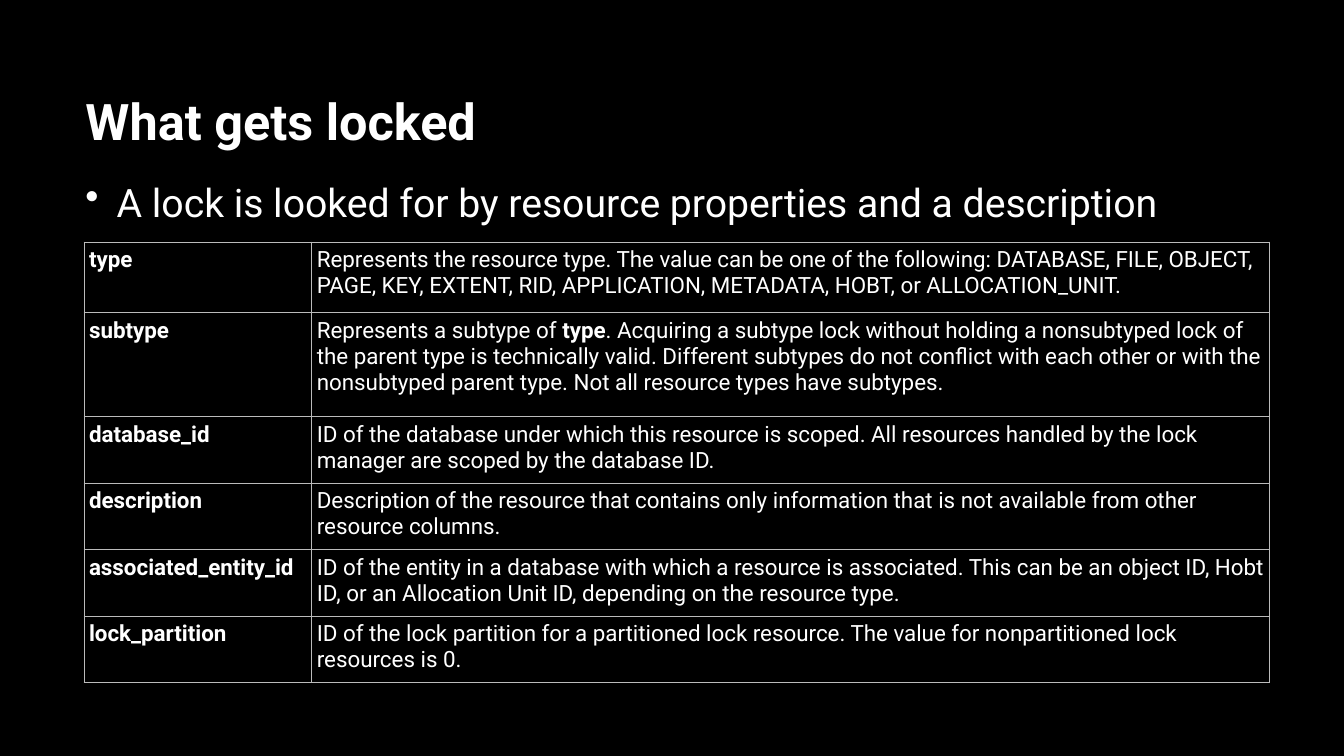
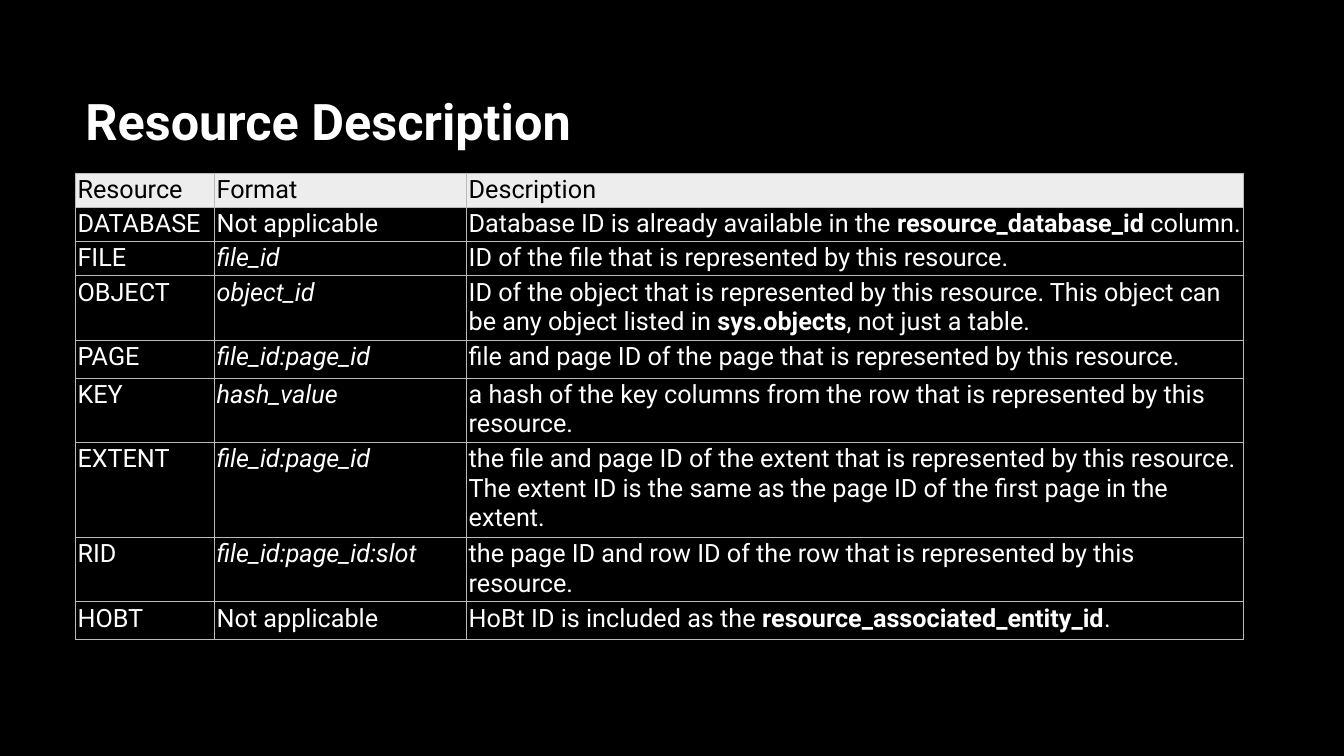
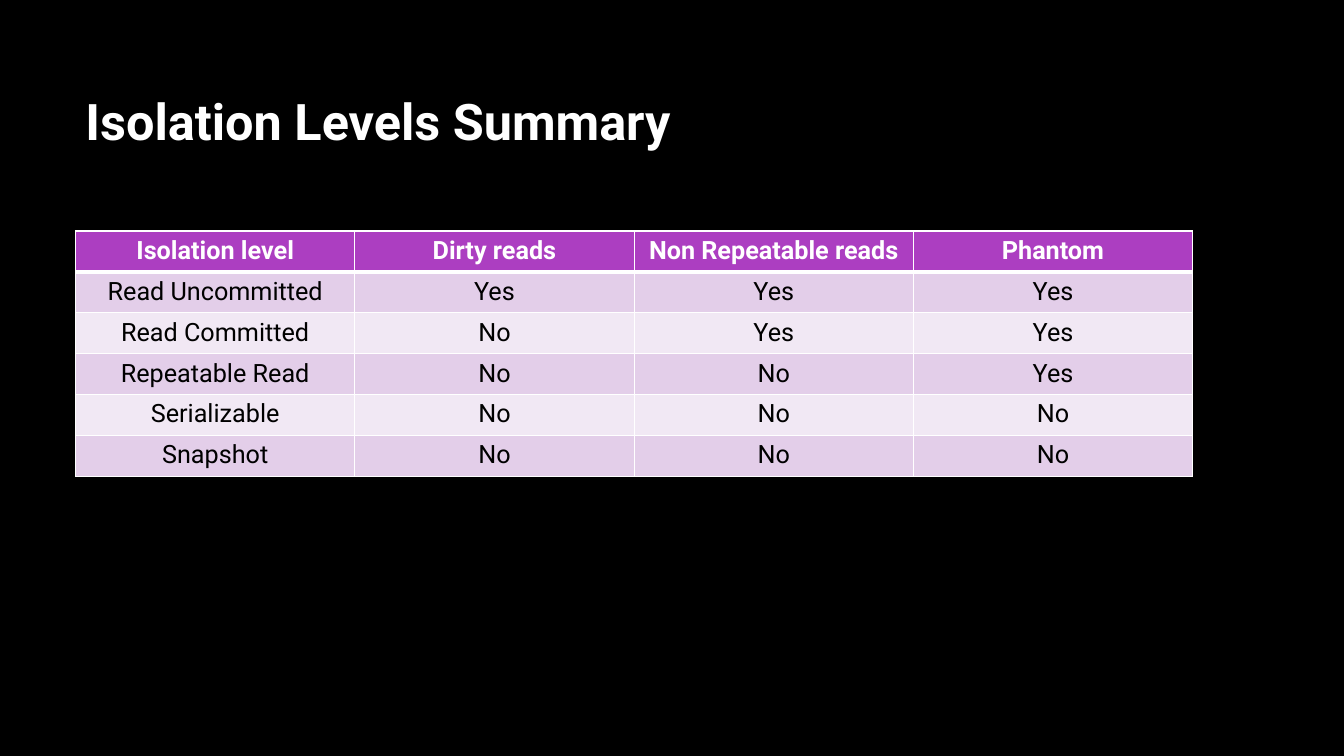
from dataclasses import dataclass
from typing import NamedTuple

from lxml import etree
from pptx import Presentation
from pptx.dml.color import RGBColor
from pptx.enum.text import MSO_ANCHOR, PP_ALIGN
from pptx.oxml.ns import qn
from pptx.util import Inches, Pt

LEFT, CENTER = PP_ALIGN.LEFT, PP_ALIGN.CENTER
TOP, MIDDLE = MSO_ANCHOR.TOP, MSO_ANCHOR.MIDDLE

BLACK = RGBColor(0x00, 0x00, 0x00)
WHITE = RGBColor(0xFF, 0xFF, 0xFF)
GRAY = RGBColor(0xBB, 0xBB, 0xBB)
LIGHT_GRAY = RGBColor(0xED, 0xED, 0xED)
PURPLE = RGBColor(0xAC, 0x3E, 0xC1)
LILAC = RGBColor(0xE3, 0xCE, 0xE9)
PALE_LILAC = RGBColor(0xF1, 0xE8, 0xF4)

FONT = "Roboto"
GRID_COLS, GRID_ROWS = 160, 90
BOLD_MARK = "**"
BLANK_LAYOUT = 6


class Box(NamedTuple):
    col: float
    row: float
    cols: float
    rows: float


class TextStyle(NamedTuple):
    size: float
    color: RGBColor = WHITE
    bold: bool = False
    italic: bool = False


class Border(NamedTuple):
    color: RGBColor
    width: float


@dataclass(frozen=True)
class CellStyle:
    text: TextStyle
    fills: tuple = (None,)
    anchor: MSO_ANCHOR = TOP


@dataclass(frozen=True)
class TableSpec:
    col: float
    row: float
    widths: list
    heights: list
    rows: list
    column_styles: list
    border: Border
    insets: tuple
    header: CellStyle | None = None
    header_rule: float | None = None
    align: PP_ALIGN = LEFT


TITLE_BOX = Box(9, 8, 133, 12.6)
BODY_BOX = Box(9, 20.6, 139, 55.4)
TITLE = TextStyle(36, bold=True)
BODY = TextStyle(28)

PROPERTIES = TableSpec(
    col=10, row=28.8,
    widths=[27.12, 114],
    heights=[8.4, 12.4] + [7.92] * 4,
    rows=[
        ("type", "Represents the resource type. The value can be one of the following: DATABASE, FILE, OBJECT, "
                 "PAGE, KEY, EXTENT, RID, APPLICATION, METADATA, HOBT, or ALLOCATION_UNIT."),
        ("subtype", "Represents a subtype of **type**. Acquiring a subtype lock without holding a nonsubtyped "
                    "lock of the parent type is technically valid. Different subtypes do not conflict with each "
                    "other or with the nonsubtyped parent type. Not all resource types have subtypes."),
        ("database_id", "ID of the database under which this resource is scoped. All resources handled by the "
                        "lock manager are scoped by the database ID."),
        ("description", "Description of the resource that contains only information that is not available from "
                        "other resource columns."),
        ("associated_entity_id", "ID of the entity in a database with which a resource is associated. This can be "
                                 "an object ID, Hobt ID, or an Allocation Unit ID, depending on the resource type."),
        ("lock_partition", "ID of the lock partition for a partitioned lock resource. The value for "
                           "nonpartitioned lock resources is 0."),
    ],
    column_styles=[CellStyle(TextStyle(16, bold=True)), CellStyle(TextStyle(16))],
    border=Border(GRAY, 0.5),
    insets=(0.05, 0.05),
)

NOT_APPLICABLE = "Not applicable"
PLAIN = CellStyle(TextStyle(18))
RESOURCES = TableSpec(
    col=9, row=20.6,
    widths=[16.56, 30, 92.4],
    heights=[4, 4, 4, 7.5, 4.5, 7.5, 11.1, 7.5, 4.5],
    rows=[
        ("Resource", "Format", "Description"),
        ("DATABASE", NOT_APPLICABLE,
         "Database ID is already available in the **resource_database_id **column."),
        ("FILE", "file_id", "ID of the file that is represented by this resource."),
        ("OBJECT", "object_id", "ID of the object that is represented by this resource. This object can be any "
                                "object listed in **sys.objects**, not just a table."),
        ("PAGE", "file_id:page_id", "file and page ID of the page that is represented by this resource."),
        ("KEY", "hash_value", "a hash of the key columns from the row that is represented by this resource."),
        ("EXTENT", "file_id:page_id", "the file and page ID of the extent that is represented by this resource. "
                                      "The extent ID is the same as the page ID of the first page in the extent."),
        ("RID", "file_id:page_id:slot",
         "the page ID and row ID of the row that is represented by this resource."),
        ("HOBT", NOT_APPLICABLE, "HoBt ID is included as the **resource_associated_entity_id**."),
    ],
    column_styles=[PLAIN, CellStyle(TextStyle(18, italic=True)), PLAIN],
    border=Border(GRAY, 0.5),
    insets=(0.02, 0.02),
    header=CellStyle(TextStyle(18, BLACK), (LIGHT_GRAY,), MIDDLE),
)

BANDED = CellStyle(TextStyle(18, BLACK), (LILAC, PALE_LILAC))
ISOLATION = TableSpec(
    col=9, row=27.5,
    widths=[33.25] * 4,
    heights=[4.87] * 6,
    rows=[
        ("Isolation level", "Dirty reads", "Non Repeatable reads", "Phantom"),
        ("Read Uncommitted", "Yes", "Yes", "Yes"),
        ("Read Committed", "No", "Yes", "Yes"),
        ("Repeatable Read", "No", "No", "Yes"),
        ("Serializable", "No", "No", "No"),
        ("Snapshot", "No", "No", "No"),
    ],
    column_styles=[BANDED] * 4,
    border=Border(WHITE, 1),
    insets=(0.1, 0.05),
    header=CellStyle(TextStyle(18, bold=True), (PURPLE,)),
    header_rule=3,
    align=CENTER,
)


def grid(cells: float) -> int:
    return Inches(cells / 12)


def add_run(p, text: str, style: TextStyle) -> None:
    r = p.add_run()
    r.text = text
    r.font.name = FONT
    r.font.size = Pt(style.size)
    r.font.bold = style.bold
    r.font.italic = style.italic
    r.font.color.rgb = style.color


def add_marked_text(p, text: str, style: TextStyle) -> None:
    for i, part in enumerate(text.split(BOLD_MARK)):
        add_run(p, part, style._replace(bold=True) if i % 2 else style)


def add_text(s, box: Box, text: str, style: TextStyle, anchor: MSO_ANCHOR = TOP):
    tf = s.shapes.add_textbox(*map(grid, box)).text_frame
    tf.word_wrap = True
    tf.vertical_anchor = anchor
    p = tf.paragraphs[0]
    add_run(p, text, style)
    return p


def add_bullet(p, color: RGBColor) -> None:
    p.space_after = Pt(10)
    pPr = p._p.get_or_add_pPr()
    pPr.set("marL", str(Inches(0.31)))
    pPr.set("indent", str(-Inches(0.31)))
    buClr = etree.SubElement(pPr, qn("a:buClr"))
    etree.SubElement(buClr, qn("a:srgbClr"), val=str(color))
    etree.SubElement(pPr, qn("a:buChar"), char="•")


def add_border(cell, side: str, border: Border) -> None:
    tcPr = cell._tc.get_or_add_tcPr()
    ln = etree.SubElement(tcPr, qn(f"a:ln{side}"), w=str(Pt(border.width)))
    fill = etree.SubElement(ln, qn("a:solidFill"))
    etree.SubElement(fill, qn("a:srgbClr"), val=str(border.color))


def fill_cell(cell, text: str, style: CellStyle, spec: TableSpec, row: int) -> None:
    rule = spec.border._replace(width=spec.header_rule or spec.border.width)
    edges = {"L": spec.border, "R": spec.border,
             "T": rule if row == 1 else spec.border,
             "B": rule if row == 0 else spec.border}
    for side, border in edges.items():
        add_border(cell, side, border)
    fill = style.fills[(row - 1) % len(style.fills)]
    if fill is None:
        cell.fill.background()
    else:
        cell.fill.solid()
        cell.fill.fore_color.rgb = fill
    cell.margin_left = cell.margin_right = Inches(spec.insets[0])
    cell.margin_top = cell.margin_bottom = Inches(spec.insets[1])
    cell.vertical_anchor = style.anchor
    p = cell.text_frame.paragraphs[0]
    p.alignment = spec.align
    text_style = style.text
    if text == NOT_APPLICABLE:
        text_style = text_style._replace(italic=False)
    add_marked_text(p, text, text_style)


def add_table(s, spec: TableSpec) -> None:
    box = Box(spec.col, spec.row, sum(spec.widths), sum(spec.heights))
    table = s.shapes.add_table(len(spec.heights), len(spec.widths), *map(grid, box)).table
    table.first_row = table.horz_banding = False
    for column, width in zip(table.columns, spec.widths):
        column.width = grid(width)
    for i, (row, height, texts) in enumerate(zip(table.rows, spec.heights, spec.rows)):
        row.height = grid(height)
        for cell, text, column_style in zip(row.cells, texts, spec.column_styles):
            style = spec.header if spec.header and i == 0 else column_style
            fill_cell(cell, text, style, spec, i)


def add_slide(prs, title: str):
    s = prs.slides.add_slide(prs.slide_layouts[BLANK_LAYOUT])
    add_text(s, TITLE_BOX, title, TITLE, MIDDLE)
    return s


def main() -> None:
    prs = Presentation()
    prs.slide_width, prs.slide_height = grid(GRID_COLS), grid(GRID_ROWS)
    background = prs.slide_master.background.fill
    background.solid()
    background.fore_color.rgb = BLACK

    s = add_slide(prs, "What gets locked")
    p = add_text(s, BODY_BOX, "A lock is looked for by resource properties and a description", BODY)
    add_bullet(p, WHITE)
    add_table(s, PROPERTIES)

    add_table(add_slide(prs, "Resource Description"), RESOURCES)
    add_table(add_slide(prs, "Isolation Levels Summary"), ISOLATION)
    prs.save("out.pptx")


if __name__ == "__main__":
    main()
